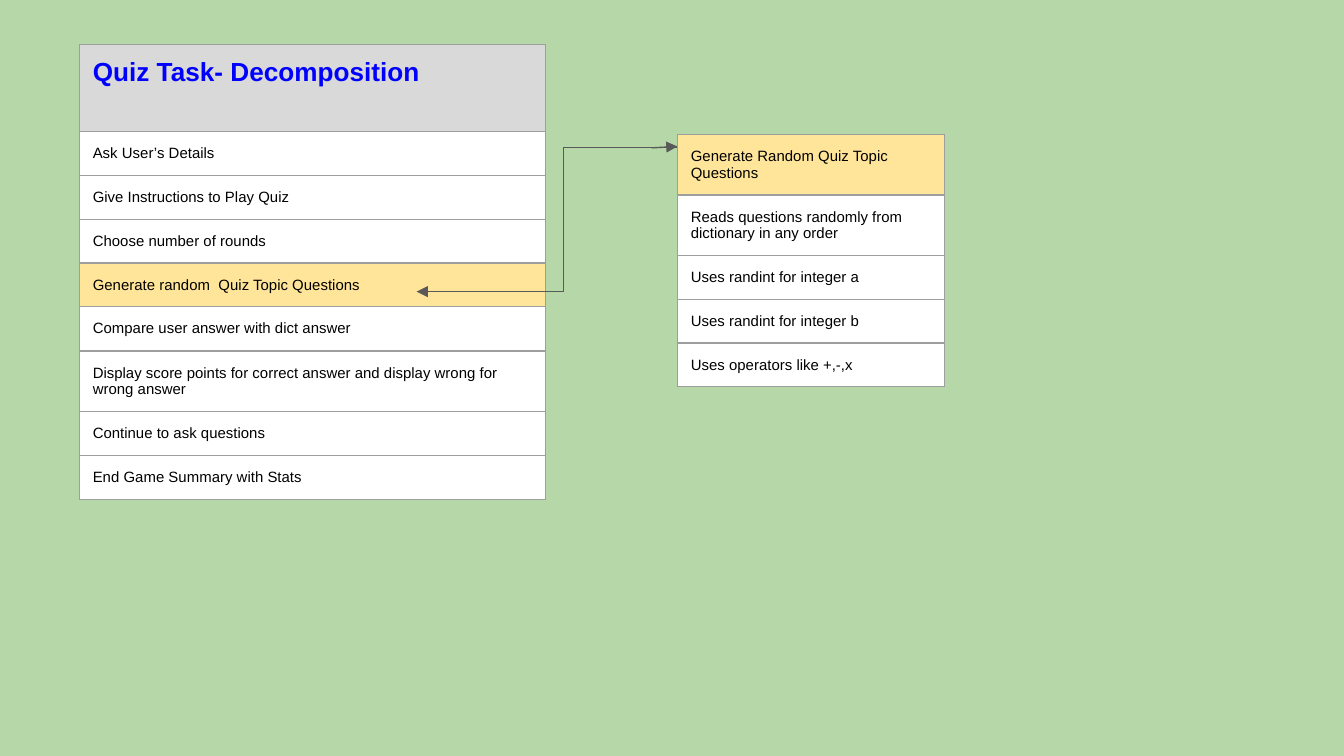
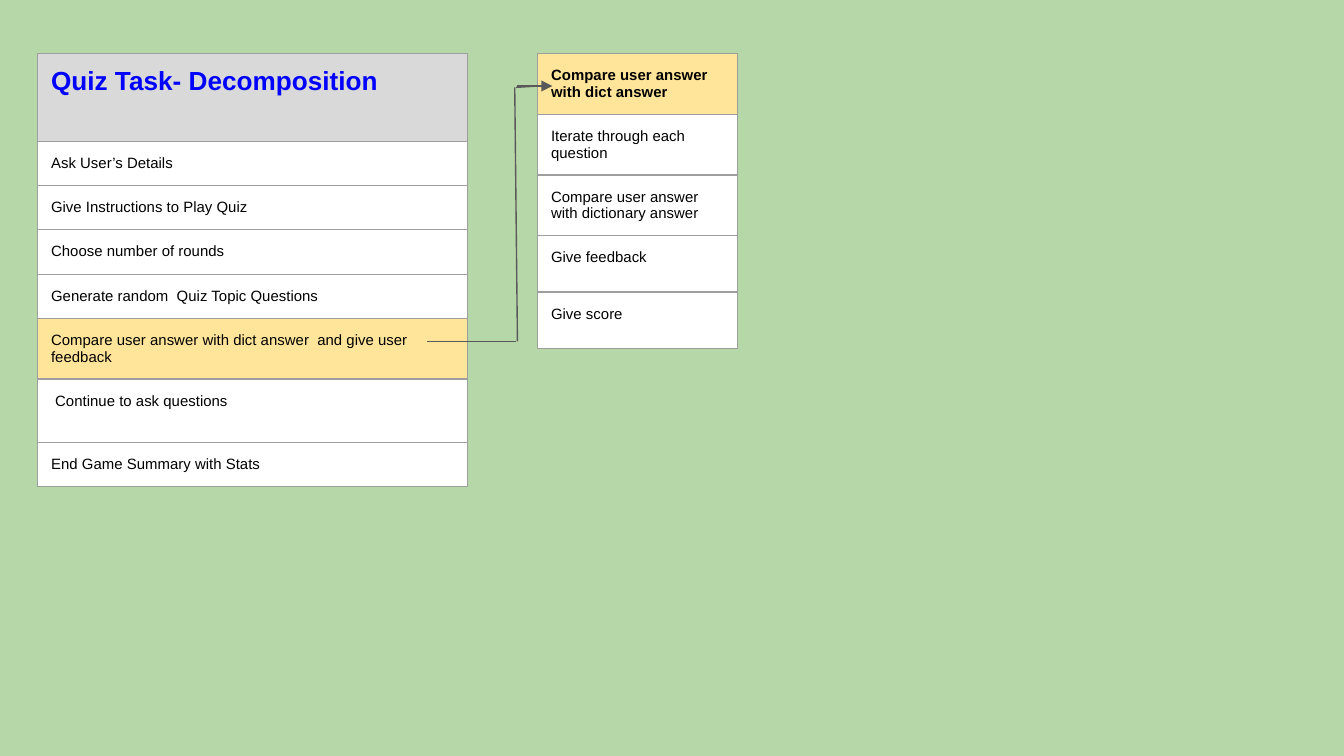
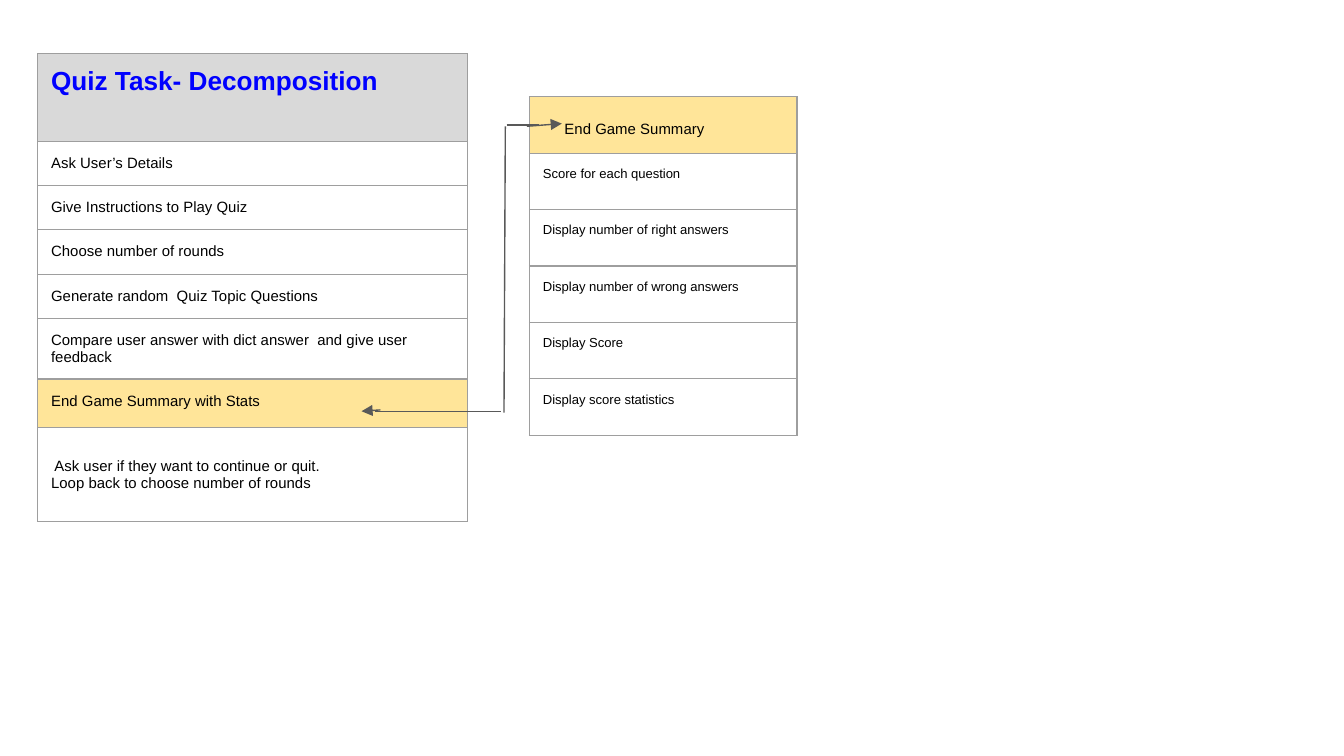
from lxml import etree
from pptx import Presentation
from pptx.dml.color import RGBColor
from pptx.enum.shapes import MSO_CONNECTOR
from pptx.oxml.ns import qn
from pptx.util import Inches, Pt

STRAIGHT = MSO_CONNECTOR.STRAIGHT
ELBOW = MSO_CONNECTOR.ELBOW

GREEN = RGBColor(0xB6, 0xD7, 0xA8)
WHITE = RGBColor(0xFF, 0xFF, 0xFF)
GREY = RGBColor(0xD9, 0xD9, 0xD9)
YELLOW = RGBColor(0xFF, 0xE5, 0x99)
BLUE = RGBColor(0x00, 0x00, 0xFF)
BLACK = RGBColor(0x00, 0x00, 0x00)
BORDER = RGBColor(0x9E, 0x9E, 0x9E)
ARROW = RGBColor(0x59, 0x59, 0x59)

FONT = "Arial"
PADDING = Inches(0.1)
TITLE = "Quiz Task- Decomposition"
TITLE_HEIGHT = 0.65


def add_task_table(page, left, top, width, rows, highlight, title=False, size=8):
    height = sum(row_height for _, row_height in rows)
    frame = page.shapes.add_table(
        len(rows), 1, Inches(left), Inches(top), Inches(width), Inches(height)
    )
    table = frame.table
    table.first_row = False
    table.horz_banding = False
    for index, (text, row_height) in enumerate(rows):
        is_title = title and index == 0
        is_highlight = index == highlight
        table.rows[index].height = Inches(row_height)
        cell = table.cell(index, 0)
        cell.margin_left = cell.margin_right = PADDING
        cell.margin_top = cell.margin_bottom = PADDING
        cell.text = text
        for para in cell.text_frame.paragraphs:
            para.font.name = FONT
            para.font.size = Pt(14 if is_title else 8 if is_highlight else size)
            para.font.bold = is_title
            para.font.color.rgb = BLUE if is_title else BLACK
        cell.fill.solid()
        cell.fill.fore_color.rgb = GREY if is_title else YELLOW if is_highlight else WHITE
        properties = cell._tc.get_or_add_tcPr()
        for position, side in enumerate(("a:lnL", "a:lnR", "a:lnT", "a:lnB")):
            edge = etree.Element(qn(side), w=str(Pt(0.75)))
            fill = etree.SubElement(edge, qn("a:solidFill"))
            etree.SubElement(fill, qn("a:srgbClr"), val=str(BORDER))
            properties.insert(position, edge)
    return table


def add_line(page, start, end, arrow=False, kind=STRAIGHT):
    points = [Inches(value) for value in (*start, *end)]
    connector = page.shapes.add_connector(kind, *points)
    connector.line.color.rgb = ARROW
    connector.line.width = Pt(0.75)
    if arrow:
        line = connector.line._get_or_add_ln()
        etree.SubElement(line, qn("a:tailEnd"), type="triangle", w="med", len="med")
    etree.SubElement(connector._element.spPr, qn("a:effectLst"))


deck = Presentation()
deck.slide_width = Inches(10)
deck.slide_height = Inches(5.625)

pages = []
for color in (GREEN, GREEN, WHITE):
    page = deck.slides.add_slide(deck.slide_layouts[6])
    page.background.fill.solid()
    page.background.fill.fore_color.rgb = color
    pages.append(page)
question_page, compare_page, summary_page = pages

opening_steps = [
    "Ask User’s Details",
    "Give Instructions to Play Quiz",
    "Choose number of rounds",
    "Generate random  Quiz Topic Questions",
]

question_rows = [(TITLE, TITLE_HEIGHT)]
question_rows += [(step, 0.32) for step in opening_steps]
question_rows += [
    ("Compare user answer with dict answer", 0.33),
    ("Display score points for correct answer and display wrong for wrong answer", 0.45),
    ("Continue to ask questions", 0.32),
    ("End Game Summary with Stats", 0.32),
]
add_task_table(question_page, 0.59, 0.33, 3.47, question_rows, 4, title=True)
add_line(question_page, (5.1, 1.1), (3.29, 2.17), kind=ELBOW)
add_line(question_page, (4.85, 1.1), (5.04, 1.09), arrow=True)
add_line(question_page, (3.32, 2.17), (3.1, 2.17), arrow=True)
add_task_table(question_page, 5.04, 1, 1.99, [
    ("Generate Random Quiz Topic Questions", 0.45),
    ("Reads questions randomly from dictionary in any order", 0.45),
    ("Uses randint for integer a", 0.32),
    ("Uses randint for integer b", 0.32),
    ("Uses operators like +,-,x", 0.32),
], 0)

shared_rows = [(TITLE, TITLE_HEIGHT)]
shared_rows += [(step, 0.33) for step in opening_steps]
shared_rows.append(("Compare user answer with dict answer  and give user feedback", 0.45))

compare_rows = shared_rows + [
    (" Continue to ask questions", 0.47),
    ("End Game Summary with Stats", 0.33),
]
add_task_table(compare_page, 0.28, 0.4, 3.2, compare_rows, 5, title=True)
compare_table = add_task_table(compare_page, 4, 0.4, 1.49, [
    ("Compare user answer with dict answer", 0.45),
    ("Iterate through each question", 0.45),
    ("Compare user answer with dictionary answer", 0.45),
    ("Give feedback", 0.42),
    ("Give score", 0.42),
], 0)
compare_table.cell(0, 0).text_frame.paragraphs[0].font.bold = True
add_line(compare_page, (3.18, 2.54), (3.84, 2.54))
add_line(compare_page, (3.85, 2.54), (3.83, 0.65))
add_line(compare_page, (3.84, 0.65), (4.01, 0.64))
add_line(compare_page, (3.85, 0.64), (4.11, 0.64), arrow=True)

summary_rows = shared_rows + [
    ("End Game Summary with Stats", 0.36),
    (" Ask user if they want to continue or quit.\nLoop back to choose number of rounds", 0.7),
]
summary_table = add_task_table(summary_page, 0.28, 0.4, 3.2, summary_rows, 6, title=True)
summary_table.cell(7, 0).margin_top = Inches(0.23)
detail_steps = [
    "End Game Summary",
    "Score for each question",
    "Display number of right answers",
    "Display number of wrong answers",
    "Display Score",
    "Display score statistics",
]
detail_rows = [(step, 0.42) for step in detail_steps]
detail_table = add_task_table(summary_page, 3.94, 0.72, 1.99, detail_rows, 0, size=7)
detail_heading = detail_table.cell(0, 0)
detail_heading.margin_left = Inches(0.26)
detail_heading.margin_top = Inches(0.18)
add_line(summary_page, (2.79, 3.06), (3.73, 3.06))
add_line(summary_page, (3.75, 3.07), (3.76, 0.94))
add_line(summary_page, (3.77, 0.93), (4.01, 0.93))
add_line(summary_page, (3.92, 0.94), (4.18, 0.92), arrow=True)
add_line(summary_page, (2.83, 3.05), (2.69, 3.06), arrow=True)

deck.save("out.pptx")
